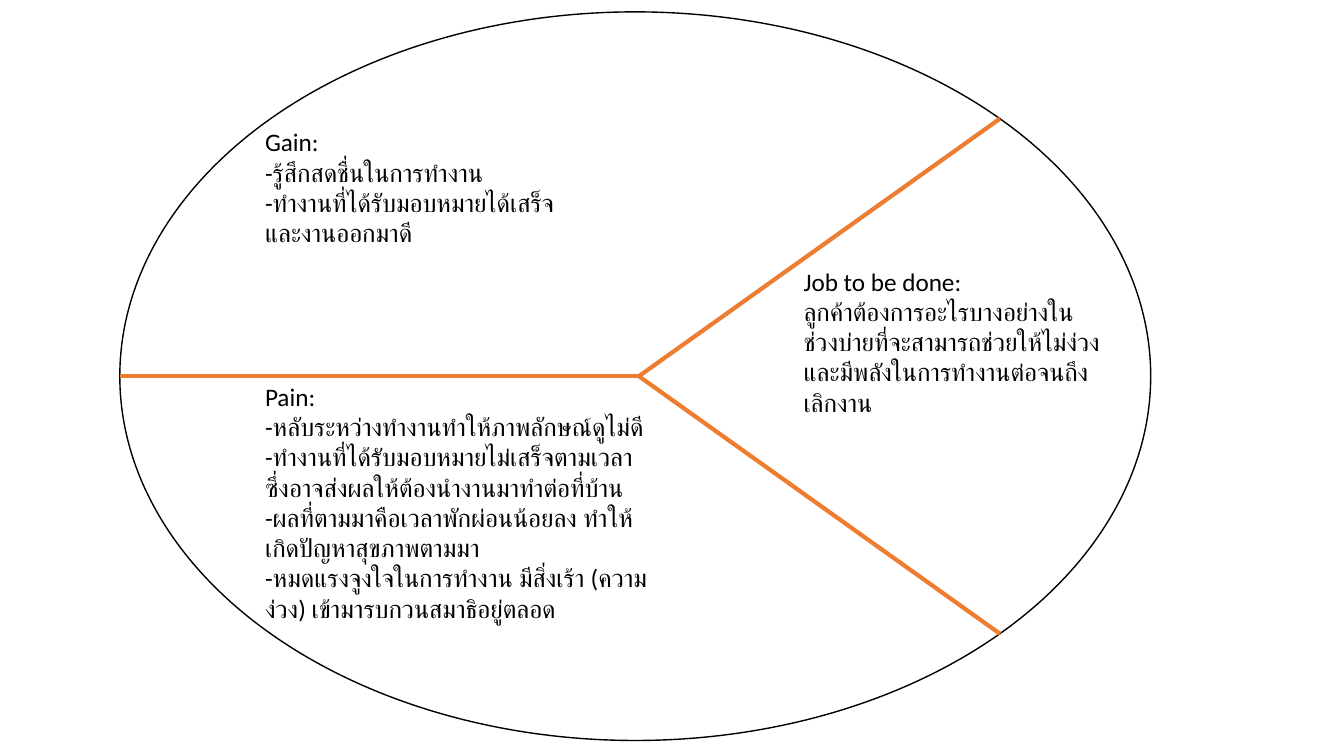
"""Build a customer profile circle with gain, pain and job sectors."""
from lxml.etree import SubElement
from pptx import Presentation
from pptx.dml.color import RGBColor
from pptx.enum.lang import MSO_LANGUAGE_ID as Language
from pptx.enum.shapes import MSO_CONNECTOR as Connector, MSO_SHAPE as Shape
from pptx.enum.text import MSO_AUTO_SIZE as AutoSize
from pptx.oxml.ns import qn
from pptx.util import Cm, Pt

BLACK, WHITE, ORANGE = "000000", "FFFFFF", "ED7D31"


def color(value):
    return RGBColor.from_string(value)


def write(para, text, font="Calibri", size=18, fill=BLACK):
    span = para.add_run()
    span.text = text
    span.font.name = font
    span.font.size = Pt(size)
    span.font.color.rgb = color(fill)
    span.font.language_id = Language.THAI


class ProfileSlide:
    def __init__(self, slide, ink=BLACK, paper=WHITE, accent=ORANGE):
        self.slide = slide
        self.ink, self.paper, self.accent = ink, paper, accent

    def ellipse(self, left, top, width, height):
        shape = self.slide.shapes.add_shape(
            Shape.OVAL, Cm(left), Cm(top), Cm(width), Cm(height))
        shape.shadow.inherit = False
        shape.fill.solid()
        shape.fill.fore_color.rgb = color(self.paper)
        shape.line.color.rgb = color(self.ink)
        shape.line.width = Pt(1)

    def divider(self, start, end):
        line = self.slide.shapes.add_connector(
            Connector.STRAIGHT, *(Cm(value) for value in (*start, *end)))
        line.line.color.rgb = color(self.accent)
        line.line.width = Pt(3)
        SubElement(line._element.spPr, qn("a:effectLst"))

    def text(self, left, top, width, height, lines):
        box = self.slide.shapes.add_textbox(
            Cm(left), Cm(top), Cm(width), Cm(height))
        frame = box.text_frame
        frame.word_wrap = True
        frame.auto_size = AutoSize.SHAPE_TO_FIT_TEXT
        for index, line in enumerate(lines):
            para = frame.add_paragraph() if index else frame.paragraphs[0]
            write(para, line, fill=self.ink)


deck = Presentation()
deck.slide_width, deck.slide_height = Cm(33.87), Cm(19.05)
profile = ProfileSlide(deck.slides.add_slide(deck.slide_layouts[6]))

circle_left, circle_top, circle_width, circle_height = 3.02, 0.3, 25.98, 18.36
hub_x, hub_y = 16.1, circle_top + circle_height / 2
spoke_x, spoke_rise = 25.2, 6.49
notes_left, narrow = 6.43, 8.03

profile.ellipse(circle_left, circle_top, circle_width, circle_height)
for rim in ((circle_left, hub_y),
            (spoke_x, hub_y - spoke_rise),
            (spoke_x, hub_y + spoke_rise)):
    profile.divider((hub_x, hub_y), rim)

profile.text(notes_left, 3.07, narrow, 3.33, [
    "Gain:",
    "-รู้สึกสดชื่นในการทำงาน",
    "-ทำงานที่ได้รับมอบหมายได้เสร็จ และงานออกมาดี",
])
profile.text(notes_left, hub_y, 10.16, 6.4, [
    "Pain:",
    "-หลับระหว่างทำงานทำให้ภาพลักษณ์ดูไม่ดี",
    "-ทำงานที่ได้รับมอบหมายไม่เสร็จตามเวลา ซึ่งอาจส่งผลให้ต้องนำงานมาทำต่อที่บ้าน",
    "-ผลที่ตามมาคือเวลาพักผ่อนน้อยลง ทำให้เกิดปัญหาสุขภาพตามมา",
    "-หมดแรงจูงใจในการทำงาน มีสิ่งเร้า (ความง่วง) เข้ามารบกวนสมาธิอยู่ตลอด",
])
profile.text(20, 6.58, narrow, 4.11, [
    "Job to be done:",
    "ลูกค้าต้องการอะไรบางอย่างในช่วงบ่ายที่จะสามารถช่วยให้ไม่ง่วง "
    "และมีพลังในการทำงานต่อจนถึงเลิกงาน",
])

deck.save("out.pptx")
